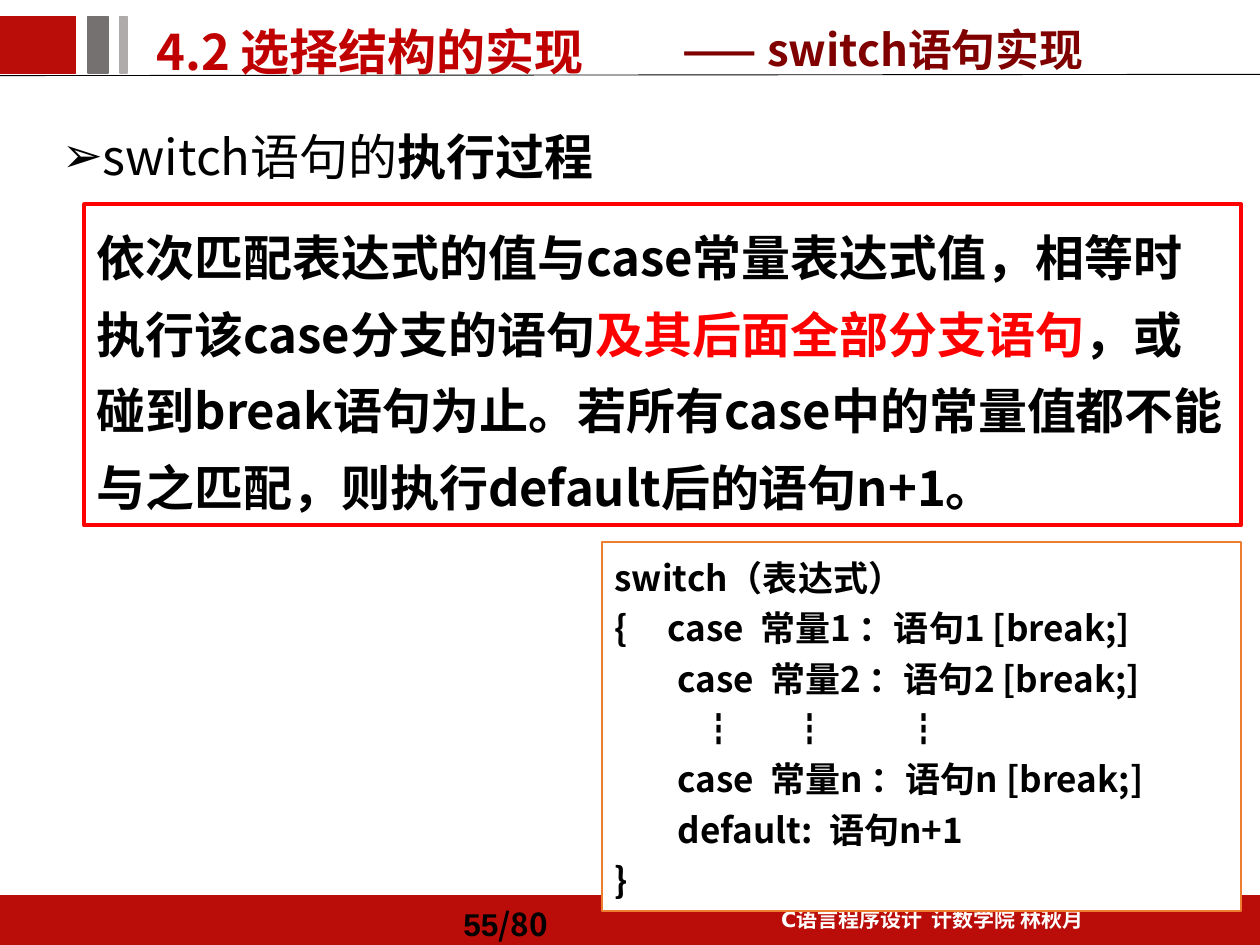
"""Build the slide on how a switch statement is executed."""
from lxml import etree
from pptx import Presentation
from pptx import util as u
from pptx.dml.color import RGBColor
from pptx.enum import shapes, text
from pptx.oxml import ns

RED = RGBColor(0xBA, 0x0D, 0x09)
TITLE_RED = RGBColor(0xC0, 0x00, 0x00)
DARK_RED = RGBColor(0x80, 0x00, 0x00)
BRIGHT_RED = RGBColor(0xFF, 0x00, 0x00)
ORANGE = RGBColor(0xED, 0x7D, 0x31)
GREY = RGBColor(0x76, 0x71, 0x71)
LIGHT_GREY = RGBColor(0xAF, 0xAB, 0xAB)
BLACK = RGBColor(0, 0, 0)
WHITE = RGBColor(0xFF, 0xFF, 0xFF)

WIDTH, HEIGHT = 10, 7.5
FOOTER_TOP = 7.11
CJK = "Noto Sans CJK SC"
LEFT, CENTER = text.PP_ALIGN.LEFT, text.PP_ALIGN.CENTER
TOP, MIDDLE, BOTTOM = (text.MSO_ANCHOR.TOP, text.MSO_ANCHOR.MIDDLE,
                       text.MSO_ANCHOR.BOTTOM)

BARS = [
    ((0, FOOTER_TOP, WIDTH, HEIGHT - FOOTER_TOP), RED),
    ((0, 0.13, 0.6, 0.45), RED),
    ((0.7, 0.13, 0.16, 0.45), GREY),
    ((0.95, 0.13, 0.06, 0.45), LIGHT_GREY),
]
TITLE = [[("4.2 选择结构的实现", {})]]
SUBTITLE = [[("—— switch语句实现", {})]]
TOPIC = [[("switch语句的", {"bold": False}), ("执行过程", {})]]
COURSE = [[("C语言程序设计  计数学院 林秋月", {"name": "DejaVu Sans"})]]
PAGE = [[("55", {"name": "Arial"}), ("/80", {})]]
RULE = [[
    ("依次匹配表达式的值与case常量表达式值，相等时执行该case分支的语句", {}),
    ("及其后面全部分支语句", {"color": BRIGHT_RED}),
    ("，或碰到break语句为止。若所有case中的常量值都不能与之匹配，"
     "则执行default后的语句n+1。", {}),
]]
CODE = [
    ("switch（表达式）", 0),
    ("{     case  常量1 ：语句1 [break;]", 0),
    ("case  常量2 ：语句2 [break;]", 0.5),
    ("   ┇       ┇          ┇", 0.5),
    ("case  常量n ：语句n [break;]", 0.5),
    ("default:  语句n+1", 0.5),
    ("}", 0),
]


def inches(values):
    return [u.Inches(value) for value in values]


def place(shape, box):
    for name, value in zip(("left", "top", "width", "height"), inches(box)):
        setattr(shape, name, value)


def indent(paragraph, margin, first=0):
    properties = paragraph._p.get_or_add_pPr()
    properties.set("marL", str(u.Inches(margin)))
    properties.set("indent", str(u.Inches(first)))
    return properties


def write(shape, paragraphs, size, color=BLACK, spacing=1.2, align=LEFT, anchor=TOP):
    frame = shape.text_frame
    frame_format = {"word_wrap": True, "vertical_anchor": anchor,
                    "auto_size": text.MSO_AUTO_SIZE.NONE}
    for name, value in frame_format.items():
        setattr(frame, name, value)
    for index, runs in enumerate(paragraphs):
        paragraph = frame.add_paragraph() if index else frame.paragraphs[0]
        paragraph_format = {"alignment": align, "line_spacing": spacing,
                            "space_before": u.Pt(0)}
        for name, value in paragraph_format.items():
            setattr(paragraph, name, value)
        for words, changes in runs:
            run = paragraph.add_run()
            run.text = words
            font_format = {"name": CJK, "size": u.Pt(size), "bold": True, **changes}
            run.font.fill.solid()
            run.font.fill.fore_color.rgb = font_format.pop("color", color)
            for name, value in font_format.items():
                setattr(run.font, name, value)
            east_asian = etree.SubElement(run._r.get_or_add_rPr(), ns.qn("a:ea"))
            east_asian.set("typeface", CJK)
    return frame.paragraphs


def add_rectangle(slide, box, fill, line, weight=1):
    shape = slide.shapes.add_shape(shapes.MSO_SHAPE.RECTANGLE, *inches(box))
    shape.shadow.inherit = False
    shape.fill.solid()
    shape.fill.fore_color.rgb = fill
    shape.line.color.rgb = line
    shape.line.width = u.Pt(weight)
    return shape


def add_text(slide, box, paragraphs, size, **options):
    write(slide.shapes.add_textbox(*inches(box)), paragraphs, size, **options)


def main():
    presentation = Presentation()
    presentation.slide_width, presentation.slide_height = inches((WIDTH, HEIGHT))
    slide = presentation.slides.add_slide(presentation.slide_layouts[1])
    title, body = slide.placeholders

    for box, color in BARS:
        add_rectangle(slide, box, color, color)
    rule_line = slide.shapes.add_connector(
        shapes.MSO_CONNECTOR.STRAIGHT, *inches((0, 0.6, WIDTH, 0.59)))
    rule_line.line.color.rgb = BLACK
    rule_line.line.width = u.Pt(0.5)
    etree.SubElement(rule_line._element.spPr, ns.qn("a:effectLst"))

    place(title, (1.14, 0.03, 4.81, 0.67))
    write(title, TITLE, 28, color=TITLE_RED)
    place(body, (0.39, 0.86, 8.67, 0.72))
    topic = write(body, TOPIC, 28)[0]
    bullet = etree.SubElement(indent(topic, 0.19, -0.19), ns.qn("a:buChar"))
    bullet.set("char", "➢")

    add_text(slide, (5.63, FOOTER_TOP, 3.54, 0.34), COURSE, 12,
             color=WHITE, align=CENTER)
    add_text(slide, (3.58, FOOTER_TOP, 1.42, 0.39), PAGE, 18, anchor=MIDDLE)
    add_text(slide, (5.32, 0.13, 4.02, 0.52), SUBTITLE, 25,
             color=DARK_RED, spacing=1, anchor=BOTTOM)

    rule_box = add_rectangle(slide, (0.67, 1.62, 9.18, 2.55), WHITE, BRIGHT_RED, 2.25)
    write(rule_box, RULE, 28, spacing=1.3)
    code_box = add_rectangle(slide, (4.78, 4.3, 5.07, 2.93), WHITE, ORANGE)
    lines = write(code_box, [[(words, {})] for words, _ in CODE], 20)
    for paragraph, (_, margin) in zip(lines, CODE):
        indent(paragraph, margin)

    presentation.save("out.pptx")


if __name__ == "__main__":
    main()
